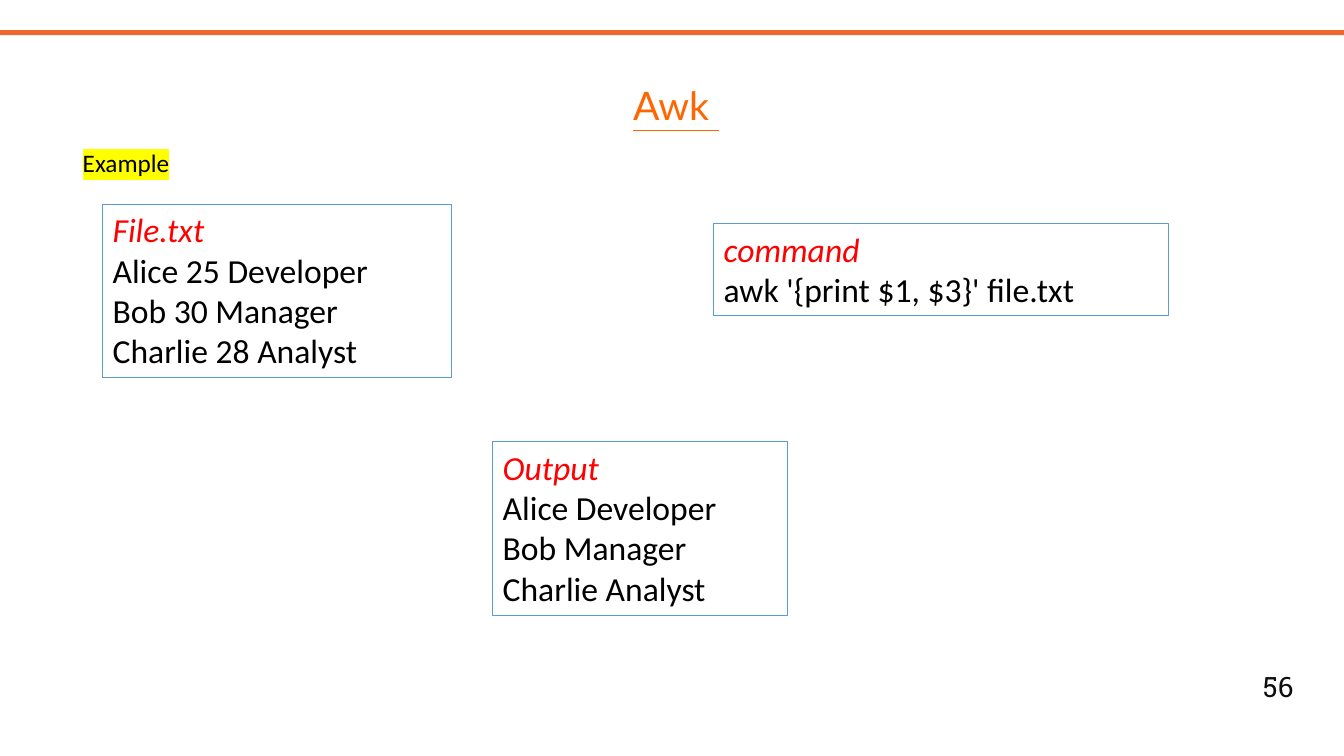
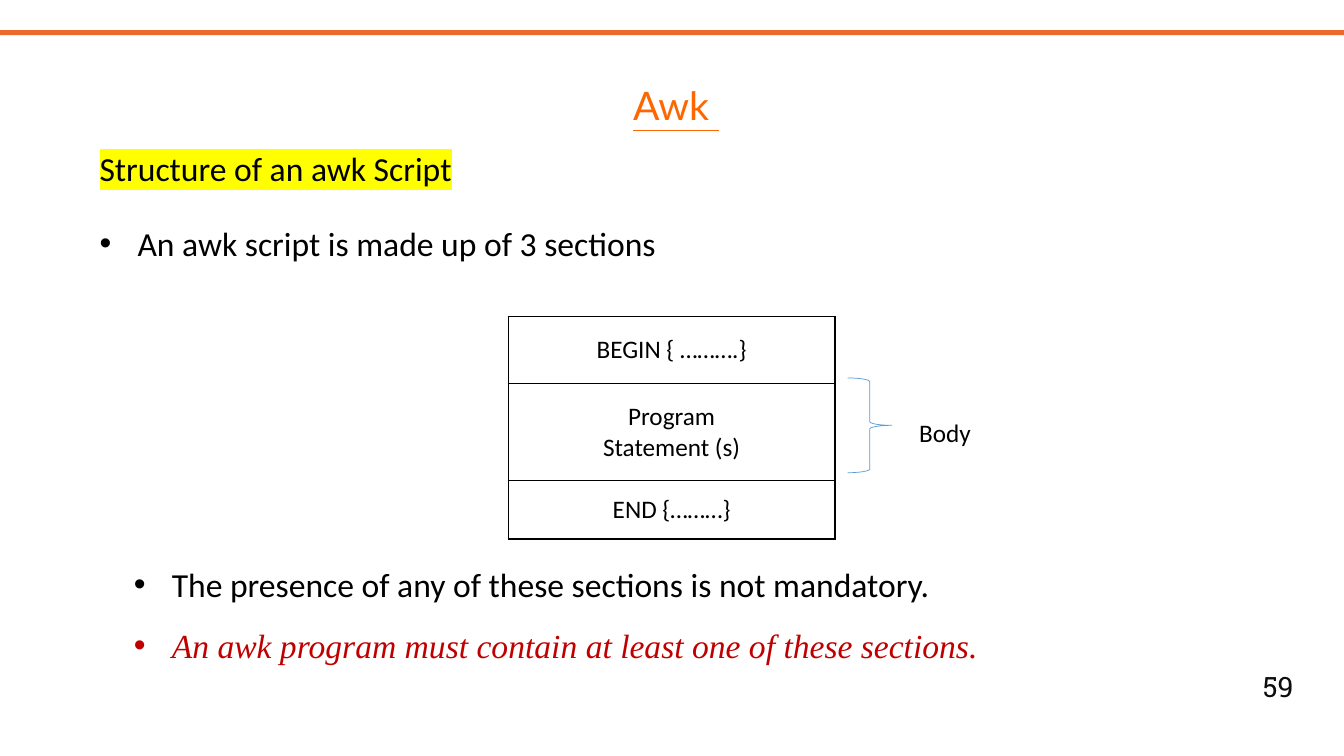
from lxml.etree import SubElement
from pptx import Presentation
from pptx.dml.color import RGBColor
from pptx.enum.shapes import MSO_SHAPE as Preset
from pptx.enum.text import MSO_ANCHOR as Anchor, MSO_AUTO_SIZE as AutoSize, PP_ALIGN as Align
from pptx.oxml.ns import qn
from pptx.util import Pt

BLACK, RED, DARK_RED = "000000", "FF0000", "C00000"
ORANGE, BAND, BLUE = "FF6600", "ED682F", "5B9BD5"
YELLOW, NUMBER_GREY = "FFFF00", "0D0D0D"


def color(hex_string):
    return RGBColor.from_string(hex_string)


def write(frame, text, size=24, font="Calibri", fill=BLACK, italic=False, underline=False,
          align=Align.LEFT, spacing=1.0, highlight=None, bullet=None):
    """Add one formatted paragraph, filling the empty first one if there is one."""
    paragraph = frame.paragraphs[0]
    if paragraph.runs:
        paragraph = frame.add_paragraph()
    paragraph.alignment = align
    paragraph.line_spacing = spacing
    paragraph.space_before = Pt(0)
    if bullet:
        properties = paragraph._p.get_or_add_pPr()
        properties.set("marL", str(Pt(27)))
        properties.set("indent", str(-Pt(27)))
        SubElement(properties, qn("a:buFont"), typeface="Arial")
        SubElement(properties, qn("a:buChar"), char=bullet)
    run = paragraph.add_run()
    run.text = text
    run.font.size = Pt(size)
    run.font.bold = False
    run.font.italic = italic
    run.font.underline = underline
    run.font.color.rgb = color(fill)
    if highlight:
        mark = SubElement(run._r.get_or_add_rPr(), qn("a:highlight"))
        SubElement(mark, qn("a:srgbClr"), val=highlight)
    run.font.name = font


presentation = Presentation()
presentation.slide_width, presentation.slide_height = Pt(960), Pt(540)
TITLE_ONLY, TWO_CONTENT = presentation.slide_layouts[5], presentation.slide_layouts[3]

# Band, title and number on every slide
for layout, number in ((TITLE_ONLY, "56"), (TWO_CONTENT, "59")):
    slide = presentation.slides.add_slide(layout)
    band = slide.shapes.add_shape(Preset.RECTANGLE, 0, Pt(21.6), Pt(960), Pt(3.6))
    band.shadow.inherit = False
    band.fill.solid()
    band.fill.fore_color.rgb = color(BAND)
    band.line.fill.background()

    title = slide.shapes.title
    title.left, title.top, title.width, title.height = Pt(445), Pt(47.5), Pt(86.4), Pt(54.7)
    title.text_frame.auto_size = AutoSize.NONE
    title.text_frame.vertical_anchor = Anchor.MIDDLE
    write(title.text_frame, "Awk ", size=28, font="Lato", fill=ORANGE, underline=True)

    number_box = slide.shapes.add_textbox(Pt(888.5), Pt(474.5), Pt(49), Pt(31.5))
    write(number_box.text_frame, number, size=20, font="Roboto Slab", fill=NUMBER_GREY,
          align=Align.CENTER)

example_slide, structure_slide = presentation.slides

# Single-line labels
for slide, text, left, top, width, size, highlight in (
    (example_slide, "Example", 52, 102, 480, 18, YELLOW),
    (structure_slide, "Structure of an awk Script", 64, 102, 300, 24, YELLOW),
    (structure_slide, "Body", 649.5, 294.5, 60, 18, None),
):
    label = slide.shapes.add_textbox(Pt(left), Pt(top), Pt(width), Pt(size * 1.5))
    label.text_frame.word_wrap = True
    write(label.text_frame, text, size=size, highlight=highlight)

# Input file, command and output
for left, top, width, height, heading, lines in (
    (73.4, 146, 249, 124, "File.txt",
     ("Alice 25 Developer", "Bob 30 Manager", "Charlie 28 Analyst")),
    (509.8, 160, 325, 65.5, "command", ("awk '{print $1, $3}' file.txt",)),
    (352, 315.5, 210.5, 124, "Output", ("Alice Developer", "Bob Manager", "Charlie Analyst")),
):
    box = example_slide.shapes.add_textbox(Pt(left), Pt(top), Pt(width), Pt(height))
    box.line.color.rgb = color(BLUE)
    box.line.width = Pt(0.75)
    box.text_frame.word_wrap = True
    write(box.text_frame, heading, fill=RED, italic=True)
    for line in lines:
        write(box.text_frame, line)

# Bulleted lists above and below the table
_, upper_list, lower_list = list(structure_slide.placeholders)
for body, left, top, height in ((upper_list, 64, 141, 46), (lower_list, 88.5, 385, 89)):
    body.left, body.top, body.width, body.height = Pt(left), Pt(top), Pt(824.5), Pt(height)
    body.text_frame.auto_size = AutoSize.NONE
list_format = {"align": Align.JUSTIFY, "spacing": 1.5, "bullet": "•"}
write(upper_list.text_frame, "An awk script is made up of 3 sections", **list_format)
write(lower_list.text_frame, "The presence of any of these sections is not mandatory.",
      **list_format)
write(lower_list.text_frame, "An awk program must contain at least one of these sections.",
      font="Times New Roman", fill=DARK_RED, italic=True, **list_format)

# Script sections
sections = (
    (48, ("BEGIN { ……….}",)),
    (69.5, ("Program", "Statement (s)")),
    (41.5, ("END {………}",)),
)
table = structure_slide.shapes.add_table(
    len(sections), 1, Pt(363), Pt(226), Pt(233.5), Pt(159)).table
table.first_row = table.horz_banding = False
for row, (height, lines) in enumerate(sections):
    table.rows[row].height = Pt(height)
    cell = table.cell(row, 0)
    cell.vertical_anchor = Anchor.MIDDLE
    for line in lines:
        write(cell.text_frame, line, size=18, align=Align.CENTER)
    cell_properties = cell._tc.get_or_add_tcPr()
    for side in ("a:lnL", "a:lnR", "a:lnT", "a:lnB"):
        border = SubElement(cell_properties, qn(side), w=str(Pt(1)))
        SubElement(SubElement(border, qn("a:solidFill")), qn("a:srgbClr"), val=BLACK)
    cell.fill.background()

brace = structure_slide.shapes.add_shape(
    Preset.RIGHT_BRACE, Pt(605.5), Pt(270), Pt(31.5), Pt(67.7))
brace.shadow.inherit = False
brace.fill.background()
brace.line.color.rgb = color(BLUE)
brace.line.width = Pt(0.5)

presentation.save("out.pptx")
